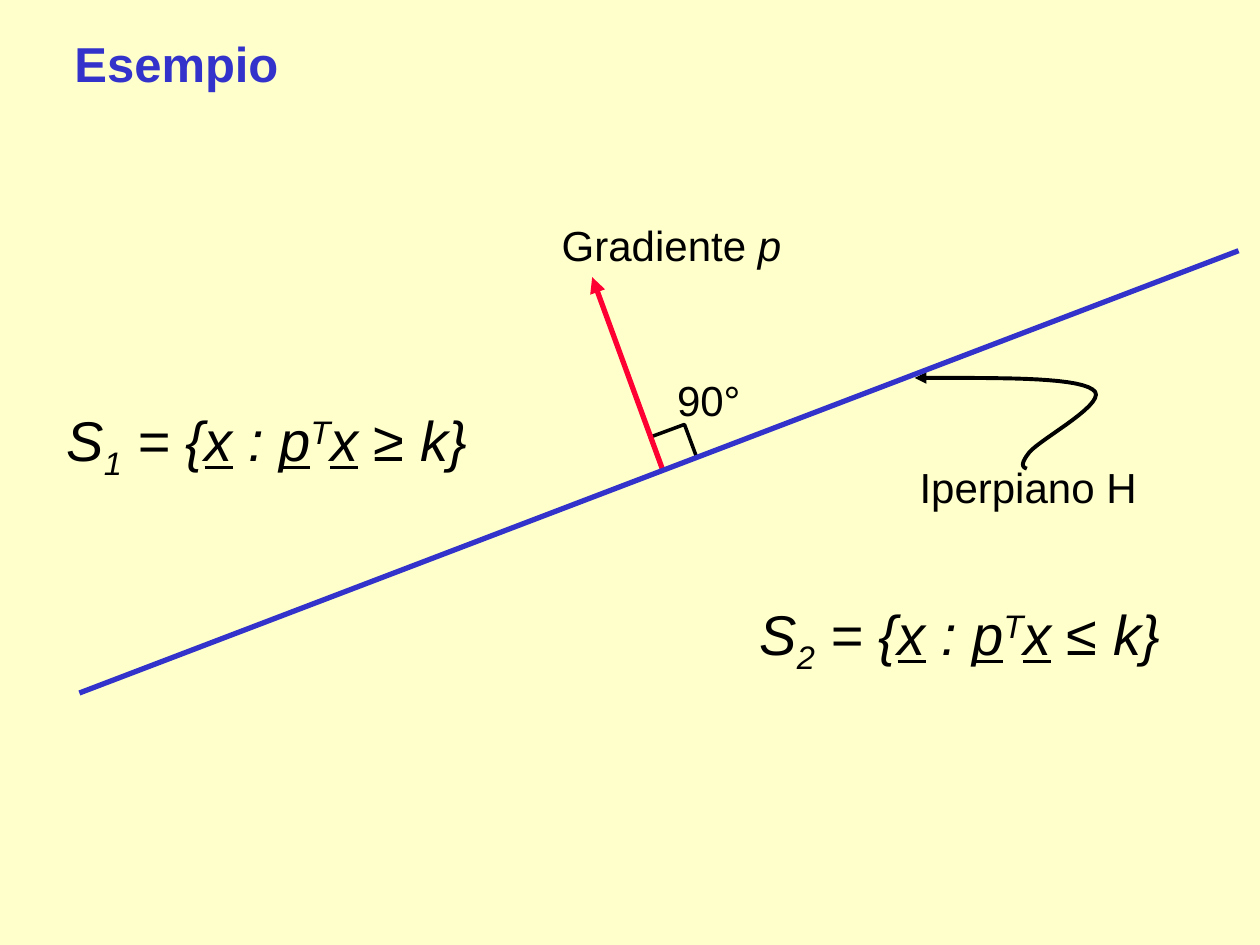
from dataclasses import dataclass

from lxml.etree import SubElement
from pptx import Presentation
from pptx.dml.color import RGBColor
from pptx.enum.shapes import MSO_CONNECTOR, MSO_SHAPE
from pptx.enum.text import PP_ALIGN
from pptx.oxml.ns import qn
from pptx.util import Inches, Pt

COLORS = {"back": "FFFFCC", "ink": "000000", "blue": "3333CC", "red": "FF0033"}


@dataclass
class Piece:
    text: str
    italic: bool = False
    under: bool = False
    base: int = 0


@dataclass
class Label:
    box: tuple[float, float, float, float]
    pieces: list[Piece]
    size: int = 24
    color: str = "ink"
    bold: bool = False
    wrap: bool = False
    align: PP_ALIGN = PP_ALIGN.LEFT


@dataclass
class Line:
    start: tuple[float, float]
    end: tuple[float, float]
    color: str
    arrow: bool = False


def rgb(name: str) -> RGBColor:
    return RGBColor.from_string(COLORS[name])


def half(index: str, sign: str) -> list[Piece]:
    """Formula of one half-space."""
    return [
        Piece("S", True), Piece(index, True, base=-25), Piece(" = {", True),
        Piece("x", True, True), Piece(" : ", True), Piece("p", True, True),
        Piece("T", True, base=30), Piece("x", True, True),
        Piece(f" {sign} k}}", True),
    ]


def write(shapes, label: Label) -> None:
    frame = shapes.add_textbox(*map(Inches, label.box)).text_frame
    frame.word_wrap = label.wrap
    para = frame.paragraphs[0]
    para.alignment = label.align
    for piece in label.pieces:
        run = para.add_run()
        run.text = piece.text
        font = run.font
        font.name, font.size = "Arial", Pt(label.size)
        font.bold, font.italic = label.bold, piece.italic
        font.underline = piece.under
        font.color.rgb = rgb(label.color)
        if piece.base:
            run._r.get_or_add_rPr().set("baseline", str(piece.base * 1000))


def stroke(shape, color: str, width: float, tip: str = "") -> None:
    """Style an outline; tip is headEnd, tailEnd or nothing."""
    shape.line.color.rgb = rgb(color)
    shape.line.width = Pt(width)
    if tip:
        SubElement(shape.line._get_or_add_ln(), qn(f"a:{tip}"), type="triangle")


def draw(shapes, line: Line) -> None:
    ends = map(Inches, line.start + line.end)
    link = shapes.add_connector(MSO_CONNECTOR.STRAIGHT, *ends)
    stroke(link, line.color, 3, "tailEnd" if line.arrow else "")
    SubElement(link._element.spPr, qn("a:effectLst"))


def bend(knots: list[tuple[float, float]], steps: int = 16) -> list[tuple[int, int]]:
    """Points along a chain of cubic curves."""
    points = [knots[0]]
    for first in range(0, len(knots) - 1, 3):
        quad = knots[first:first + 4]
        for step in range(1, steps + 1):
            t = step / steps
            rates = ((1 - t) ** 3, 3 * t * (1 - t) ** 2, 3 * t * t * (1 - t), t ** 3)
            points.append(tuple(sum(r * k[axis] for r, k in zip(rates, quad))
                                for axis in (0, 1)))
    return [(Inches(x), Inches(y)) for x, y in points]


CURVE = [(7.26, 3), (7.89, 3), (8.52, 2.99), (8.67, 3.09), (8.83, 3.18),
         (8.26, 3.48), (8.17, 3.59), (8.09, 3.69), (8.12, 3.71), (8.15, 3.72)]

LINES = [
    Line((5.26, 3.73), (4.7, 2.2), "red", arrow=True),
    Line((0.63, 5.5), (9.83, 1.99), "blue"),
]

LABELS = [
    Label((0.49, 0.22, 1.82, 0.57), [Piece("Esempio")], 28, "blue", True,
          align=PP_ALIGN.CENTER),
    Label((4.36, 1.69, 2.45, 0.51), [Piece("Gradiente "), Piece("p", True)], wrap=True),
    Label((7.2, 3.61, 2.16, 0.5), [Piece("Iperpiano H")], wrap=True),
    Label((5.27, 2.92, 0.71, 0.5), [Piece("90°")], align=PP_ALIGN.CENTER),
    Label((0.43, 3.17, 3.46, 0.64), half("1", "≥"), 32),
    Label((5.93, 4.71, 3.46, 0.64), half("2", "≤"), 32),
]


def main() -> None:
    deck = Presentation()
    deck.slide_width, deck.slide_height = Inches(10), Inches(7.5)
    slide = deck.slides.add_slide(deck.slide_layouts[6])
    slide.background.fill.solid()
    slide.background.fill.fore_color.rgb = rgb("back")
    shapes = slide.shapes

    # Curved pointer to the hyperplane
    points = bend(CURVE)
    pen = shapes.build_freeform(*points[0])
    pen.add_line_segments(points[1:], close=False)
    hook = pen.convert_to_shape()
    stroke(hook, "ink", 2.25, "headEnd")

    # Right-angle mark, partly under the lines
    mark = shapes.add_shape(MSO_SHAPE.RECTANGLE,
                            *map(Inches, (5.2, 3.41, 0.29, 0.28)))
    mark.rotation = 339.7
    stroke(mark, "ink", 2)
    for shape in (hook, mark):
        shape.fill.background()
        shape.shadow.inherit = False

    # Gradient and hyperplane
    for line in LINES:
        draw(shapes, line)

    # Title, labels and formulas
    for label in LABELS:
        write(shapes, label)

    deck.save("out.pptx")


if __name__ == "__main__":
    main()
